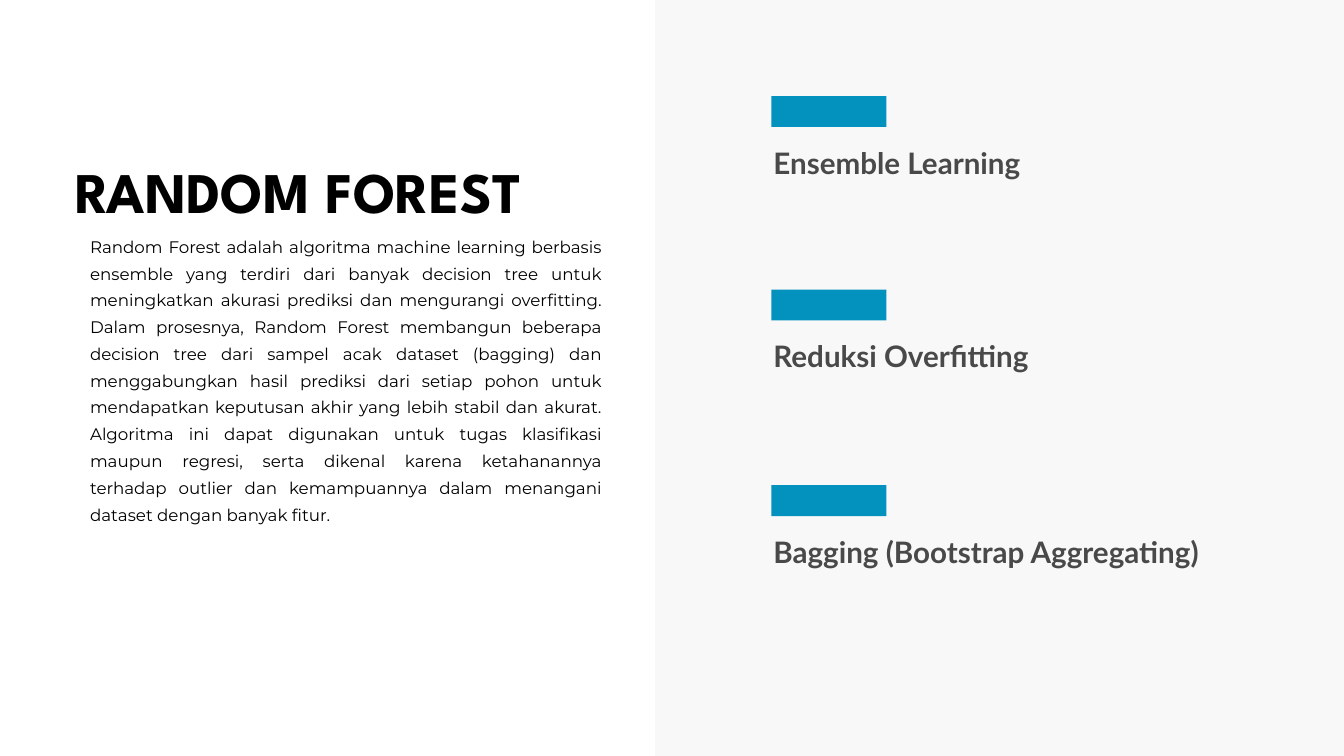
"""Build the Random Forest slide: a text column beside three key ideas."""
from lxml.etree import SubElement as Sub
from pptx import Presentation
from pptx.dml.color import RGBColor as Rgb
from pptx.enum.shapes import MSO_SHAPE as Form
from pptx.enum.text import MSO_ANCHOR as Anchor, MSO_AUTO_SIZE as Fit, PP_ALIGN as Align
from pptx.oxml.ns import qn
from pptx.util import Inches, Pt

INK = {"text": "000000", "label": "494949", "bar": "0392BE", "panel": "DDDDDD"}
TITLE = {"name": "League Spartan", "size": Pt(61.5), "bold": True}
BODY = {"name": "Montserrat", "size": Pt(17.9), "bold": False}
LABEL = {"name": "Lato", "size": Pt(31.7), "bold": True}
FRAME = {"margin_left": 0, "margin_top": 0, "margin_right": 0, "margin_bottom": 0,
         "word_wrap": True, "auto_size": Fit.NONE, "vertical_anchor": Anchor.TOP}
IDEAS = [
    ("Ensemble Learning", 1.43, 4.91),
    ("Reduksi Overfitting", 4.31, 4.91),
    ("Bagging (Bootstrap Aggregating)", 7.22, 8.13),
]
ABOUT = (
    "Random Forest adalah algoritma machine learning berbasis ensemble yang terdiri "
    "dari banyak decision tree untuk meningkatkan akurasi prediksi dan mengurangi "
    "overfitting. Dalam prosesnya, Random Forest membangun beberapa decision tree "
    "dari sampel acak dataset (bagging) dan menggabungkan hasil prediksi dari setiap "
    "pohon untuk mendapatkan keputusan akhir yang lebih stabil dan akurat. Algoritma "
    "ini dapat digunakan untuk tugas klasifikasi maupun regresi, serta dikenal karena "
    "ketahanannya terhadap outlier dan kemampuannya dalam menangani dataset dengan "
    "banyak fitur."
)


def apply(item, values):
    """Set each attribute named in a dict."""
    for key, value in values.items():
        setattr(item, key, value)


def place(shape, left, top, width, height):
    """Move and size a shape in inches."""
    apply(shape, {"left": Inches(left), "top": Inches(top),
                  "width": Inches(width), "height": Inches(height)})


def write(shape, text, font, ink, lead, align=Align.LEFT):
    """Fill a shape with one plain, formatted paragraph."""
    frame = shape.text_frame
    apply(frame, FRAME)
    para = frame.paragraphs[0]
    props = para._p.get_or_add_pPr()
    props.set("marL", "0")
    props.set("indent", "0")
    Sub(props, qn("a:buNone"))
    apply(para, {"alignment": align, "line_spacing": Pt(lead), "space_before": Pt(0)})
    run = para.add_run()
    run.text = text
    apply(run.font, font)
    run.font.color.rgb = Rgb.from_string(INK[ink])


def block(slide, ink, left, top, width, height, alpha=None):
    """Draw a flat rectangle, see-through if alpha is a percentage."""
    shape = slide.shapes.add_shape(Form.RECTANGLE, Inches(left), Inches(top),
                                   Inches(width), Inches(height))
    shape.shadow.inherit = False
    shape.line.fill.background()
    shape.fill.solid()
    shape.fill.fore_color.rgb = Rgb.from_string(INK[ink])
    if alpha is not None:
        color = shape._element.spPr.find(qn("a:solidFill"))[0]
        Sub(color, qn("a:alpha"), val=str(alpha * 1000))


def idea(slide, text, top, width):
    """Draw a bar with its label below."""
    block(slide, "bar", 11.48, top, 1.71, 0.46)
    label = slide.shapes.add_textbox(0, 0, 0, 0)
    place(label, 11.51, top + 0.59, width, 0.62)
    write(label, text, LABEL, "label", 47.6)


def main():
    """Build and save the slide."""
    deck = Presentation()
    apply(deck, {"slide_width": Inches(20), "slide_height": Inches(11.25)})
    slide = deck.slides.add_slide(deck.slide_layouts[1])
    title, body = slide.placeholders
    block(slide, "panel", 9.75, 0, 10.25, 11.25, alpha=18)
    place(title, 1.12, 2.5, 7.84, 0.9)
    write(title, "RANDOM FOREST", TITLE, "text", 61.5)
    place(body, 1.34, 3.42, 7.62, 4.74)
    write(body, ABOUT, BODY, "text", 28.7, Align.JUSTIFY)
    for text, top, width in IDEAS:
        idea(slide, text, top, width)
    deck.save("out.pptx")


if __name__ == "__main__":
    main()
